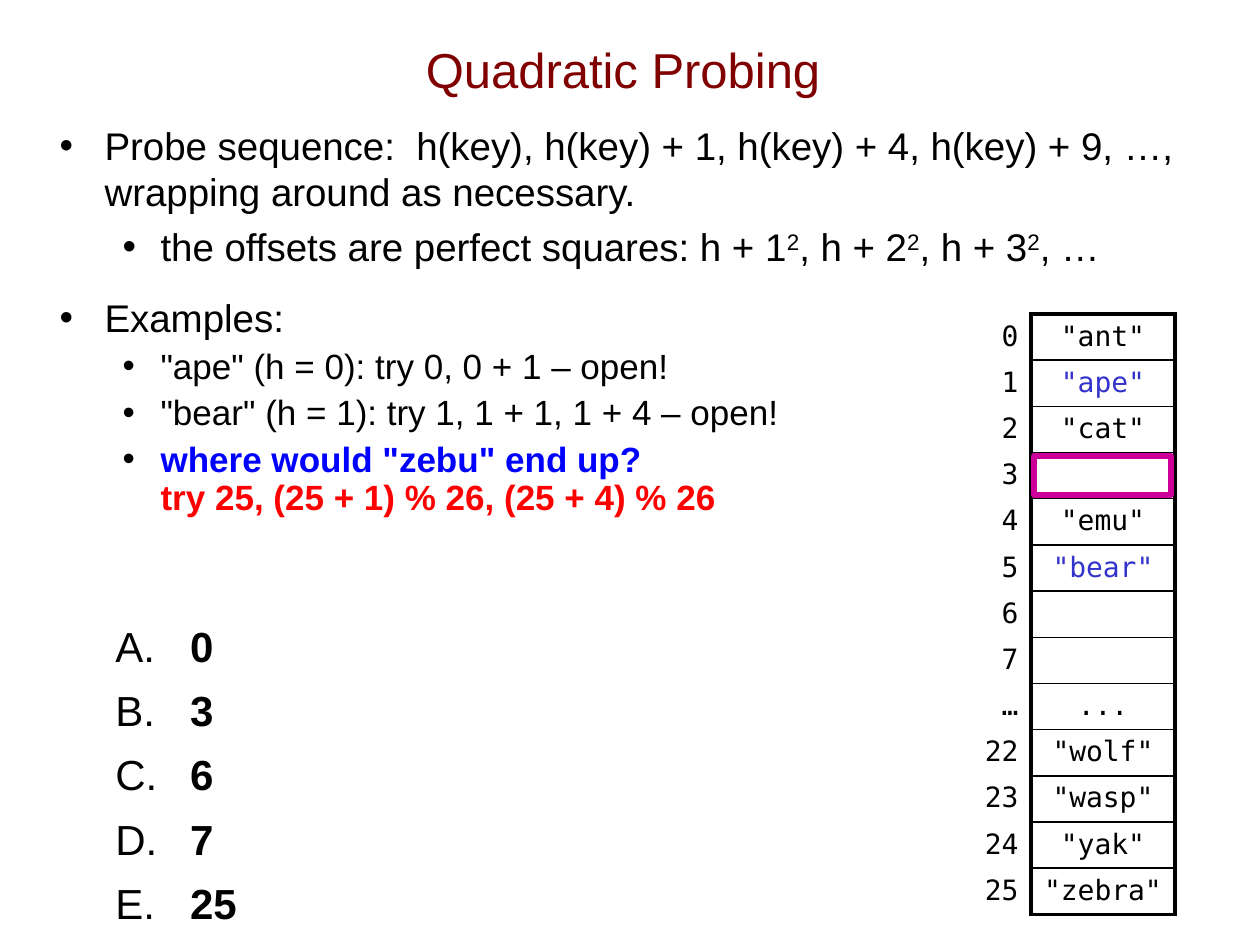
from dataclasses import dataclass

from lxml.etree import SubElement
from pptx import Presentation
from pptx.dml.color import RGBColor
from pptx.enum.shapes import MSO_SHAPE as Shape
from pptx.enum.text import MSO_ANCHOR as Anchor, MSO_AUTO_SIZE as AutoSize, PP_ALIGN as Align
from pptx.oxml.ns import qn
from pptx.util import Emu, Pt


@dataclass(frozen=True)
class Theme:
    """Fonts, type sizes and colours of the slide."""
    sans: str = "Arial"
    mono: str = "DejaVu Sans Mono"
    title_size: int = 28
    text_size: int = 22
    example_size: int = 20
    choice_size: int = 24
    cell_size: int = 16
    black: str = "000000"
    maroon: str = "800000"
    blue: str = "0000FF"
    red: str = "FF0000"
    added: str = "3333CC"
    magenta: str = "CC0099"


THEME = Theme()
EMU_PER_PX = 914400 / 126

ENTRIES = [
    ("0", '"ant"'), ("1", '"ape"'), ("2", '"cat"'), ("3", ""), ("4", '"emu"'),
    ("5", '"bear"'), ("6", ""), ("7", ""), ("…", "..."), ("22", '"wolf"'),
    ("23", '"wasp"'), ("24", '"yak"'), ("25", '"zebra"'),
]
ADDED_KEYS = {'"ape"', '"bear"'}
CHOICES = ["0", "3", "6", "7", "25"]


def px(length):
    """Turn pixels into EMU."""
    return Emu(round(length * EMU_PER_PX))


def place(shape, left, top, width, height):
    """Move and size a shape, in pixels."""
    shape.left, shape.top = px(left), px(top)
    shape.width, shape.height = px(width), px(height)


def style(font, size, color=THEME.black, name=THEME.sans):
    """Set the typeface, size and colour of a font."""
    font.name, font.size = name, Pt(size)
    font.color.rgb = RGBColor.from_string(color)


def set_bullet(para, left, hang, tag, **attributes):
    """Give a paragraph a black bullet with a hanging indent."""
    props = para._p.get_or_add_pPr()
    props.set("marL", str(px(left)))
    props.set("indent", str(-px(hang)))
    color = SubElement(props, qn("a:buClr"))
    SubElement(color, qn("a:srgbClr"), val=THEME.black)
    SubElement(props, qn("a:buFont"), typeface=THEME.sans)
    SubElement(props, qn(tag), **attributes)


def next_para(frame):
    """Return the empty first paragraph of a frame, or a new one."""
    first = frame.paragraphs[0]
    return frame.add_paragraph() if first.runs else first


def add_span(para, text, bold=None, color=None):
    """Add a run with what differs from its paragraph."""
    span = para.add_run()
    span.text = text
    span.font.bold = bold
    if color:
        span.font.color.rgb = RGBColor.from_string(color)
    return span


def add_item(frame, level, size, before, spacing=1.0):
    """Start a bulleted body item."""
    para = next_para(frame)
    para.level = level
    para.line_spacing, para.space_before = spacing, Pt(before)
    set_bullet(para, *((101, 38) if level else (45, 45)), "a:buChar", char="•")
    style(para.font, size)
    return para


def fill_title(title):
    """Write the slide title."""
    place(title, 81, 10, 1084, 117)
    title.text_frame.vertical_anchor = Anchor.MIDDLE
    para = title.text_frame.paragraphs[0]
    para.alignment = Align.CENTER
    add_span(para, "Quadratic Probing")
    style(para.font, THEME.title_size, THEME.maroon)


def fill_body(body):
    """Write the explanation and the examples."""
    place(body, 47, 116, 1166, 774)
    frame = body.text_frame
    frame.auto_size = AutoSize.NONE
    frame.vertical_anchor = Anchor.TOP

    para = add_item(frame, 0, THEME.text_size, 0)
    add_span(para, "Probe sequence:  h(key), h(key) + 1, h(key) + 4, h(key) + 9, …,")
    para.add_line_break()
    add_span(para, "wrapping around as necessary.")

    para = add_item(frame, 1, THEME.text_size, 5)
    add_span(para, "the offsets are perfect squares: h + 1")
    for following in (", h + 2", ", h + 3", ", …"):
        add_span(para, "2").font._element.set("baseline", "30000")
        add_span(para, following)

    add_span(add_item(frame, 0, THEME.text_size, 14), "Examples:")
    for example in ('"ape" (h = 0): try 0, 0 + 1 – open!',
                    '"bear" (h = 1): try 1, 1 + 1, 1 + 4 – open!'):
        add_span(add_item(frame, 1, THEME.example_size, 5, 0.9), example)

    para = add_item(frame, 1, THEME.example_size, 5, 0.9)
    add_span(para, 'where would "zebu" end up?', True, THEME.blue)
    para.add_line_break()
    add_span(para, "try 25, (25 + 1) % 26, (25 + 4) % 26", True, THEME.red)


def set_border(cell, side, width):
    """Draw one black edge of a table cell."""
    line = SubElement(cell._tc.get_or_add_tcPr(), qn(f"a:ln{side}"), w=str(Pt(width)))
    fill = SubElement(line, qn("a:solidFill"))
    SubElement(fill, qn("a:srgbClr"), val=THEME.black)


def fill_cell(cell, text, alignment, color=THEME.black):
    """Write one table cell."""
    para = cell.text_frame.paragraphs[0]
    para.alignment = alignment
    if text:
        add_span(para, text)
    else:
        cell.margin_top = cell.margin_bottom = 0
    style(para.font, THEME.cell_size, color, THEME.mono)


def add_hash_table(slide):
    """Add the hash table with its row indices."""
    count = len(ENTRIES)
    table = slide.shapes.add_table(count, 2, px(886), px(314), px(289), px(601)).table
    table.first_row = table.horz_banding = False
    table.columns[0].width, table.columns[1].width = px(145), px(144)
    for row, (index, key) in enumerate(ENTRIES):
        label, slot = table.cell(row, 0), table.cell(row, 1)
        fill_cell(label, index, Align.RIGHT)
        fill_cell(slot, key, Align.CENTER, THEME.added if key in ADDED_KEYS else THEME.black)
        set_border(label, "R", 2.25)
        for side, width in (("L", 2.25), ("R", 2.25), ("T", 1 if row else 2.25),
                            ("B", 1 if row < count - 1 else 2.25)):
            set_border(slot, side, width)
        label.fill.background()
        slot.fill.background()


def add_choices(slide):
    """Add the lettered answers."""
    box = slide.shapes.add_textbox(px(103), px(614), px(523), px(324))
    box.text_frame.word_wrap = True
    for number, choice in enumerate(CHOICES):
        para = next_para(box.text_frame)
        para.space_before = Pt(8 if number else 0)
        set_bullet(para, 63, 63, "a:buAutoNum", type="alphaUcPeriod")
        style(para.font, THEME.choice_size)
        add_span(para, " ", False)
        add_span(para, choice, True)


def add_highlight(slide):
    """Frame the slot that is probed last."""
    frame = slide.shapes.add_shape(Shape.RECTANGLE, px(1034), px(456), px(137), px(39))
    frame.shadow.inherit = False
    frame.fill.background()
    frame.line.color.rgb = RGBColor.from_string(THEME.magenta)
    frame.line.width = Pt(3)


def main():
    """Build the slide and save it."""
    deck = Presentation()
    deck.slide_width, deck.slide_height = px(1260), px(945)
    page = deck.slides.add_slide(deck.slide_layouts[1])
    fill_title(page.shapes.title)
    fill_body(page.placeholders[1])
    add_hash_table(page)
    add_choices(page)
    add_highlight(page)
    deck.save("out.pptx")


if __name__ == "__main__":
    main()
